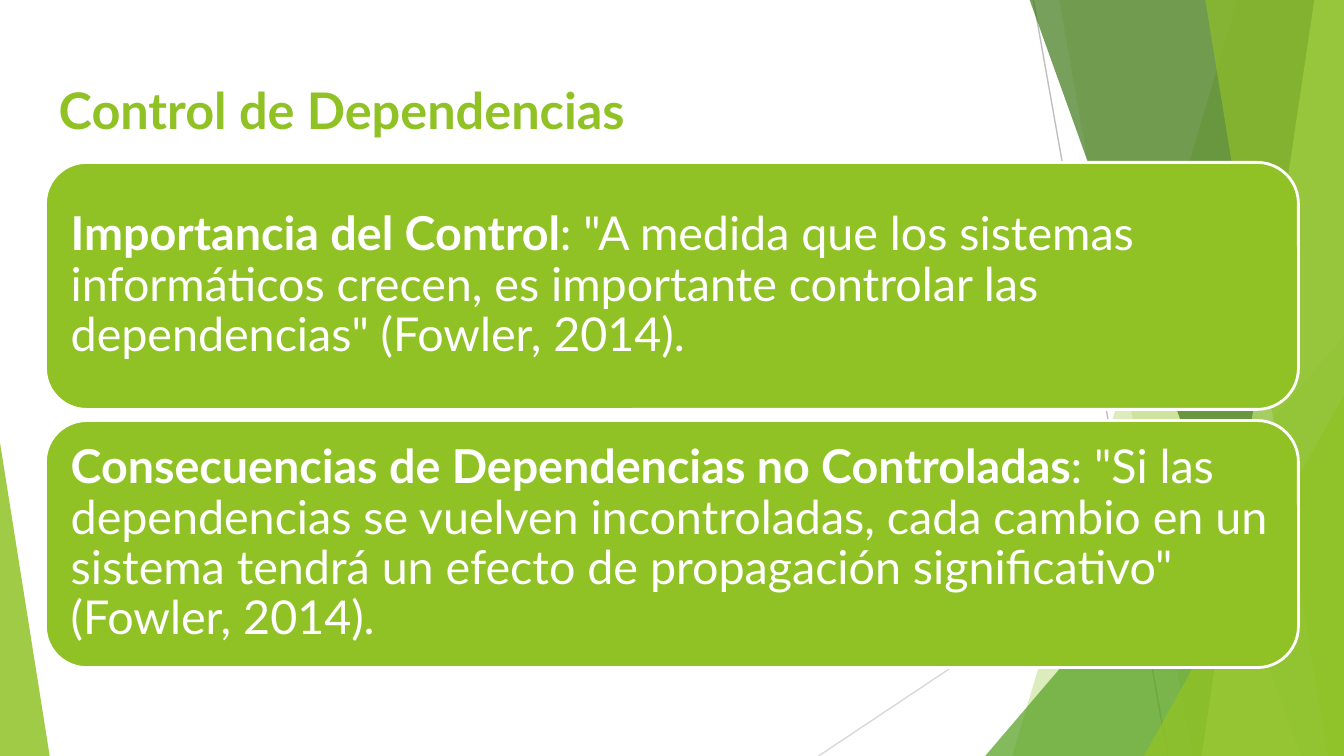
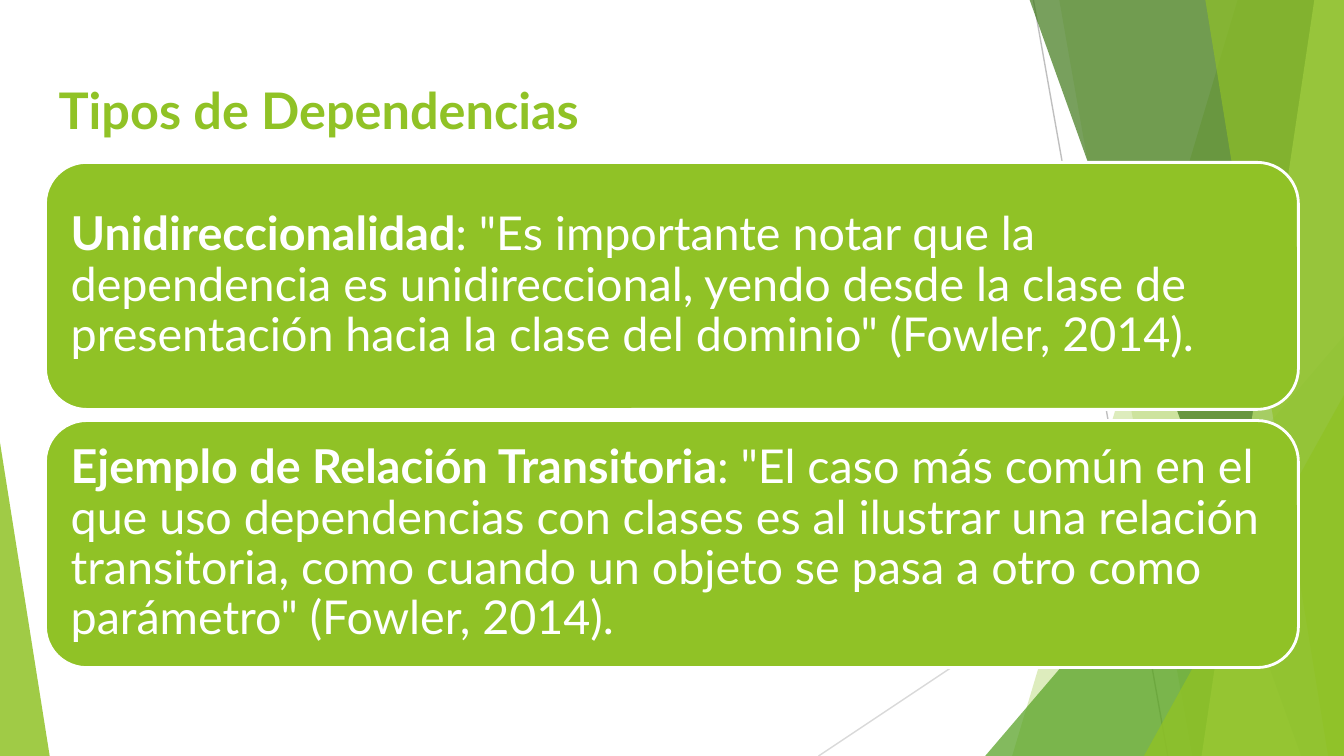
"""Build two slides on class dependencies over a shared green faceted backdrop."""
from dataclasses import dataclass

from lxml import etree
from pptx import Presentation
from pptx.dml.color import RGBColor
from pptx.enum.shapes import MSO_CONNECTOR, MSO_SHAPE
from pptx.enum.text import MSO_ANCHOR, PP_ALIGN
from pptx.oxml.ns import qn
from pptx.shapes.autoshape import Shape
from pptx.slide import Slide
from pptx.text.text import TextFrame
from pptx.util import Cm, Pt

STRAIGHT = MSO_CONNECTOR.STRAIGHT
TRIANGLE = MSO_SHAPE.ISOSCELES_TRIANGLE
ROUNDED = MSO_SHAPE.ROUNDED_RECTANGLE
TOP, MIDDLE = MSO_ANCHOR.TOP, MSO_ANCHOR.MIDDLE
LEFT = PP_ALIGN.LEFT

COLORS = {
    "white": "FFFFFF",
    "lime": "90C226",
    "pale_lime": "C0E474",
    "green": "54A021",
    "forest": "3F7819",
    "gray": "BFBFBF",
    "light_gray": "D9D9D9",
}
FONT = "Lato"
SLIDE_WIDTH, SLIDE_HEIGHT = 25.4, 14.29
MARGIN = 0.86
CONTENT_WIDTH = SLIDE_WIDTH - 2 * MARGIN
INSET = 0.25
TITLE_TOP, TITLE_HEIGHT = 1.24, 1.6
CARD_TOP, CARD_HEIGHT, CARD_PITCH = 3.07, 4.67, 4.88


@dataclass(frozen=True)
class Ray:
    start: tuple[float, float]
    end: tuple[float, float]
    color: str


@dataclass(frozen=True)
class Ribbon:
    top_x: float
    bottom_x: float
    color: str
    opacity: int


@dataclass(frozen=True)
class Wedge:
    left: float
    top: float
    width: float
    apex: float
    color: str
    opacity: int


@dataclass(frozen=True)
class Card:
    term: str
    quote: str


@dataclass(frozen=True)
class Topic:
    title: str
    cards: tuple[Card, ...]


RAYS = (
    Ray((19.53, 0), (22.07, SLIDE_HEIGHT), "gray"),
    Ray((SLIDE_WIDTH, 7.67), (15.47, SLIDE_HEIGHT), "light_gray"),
)
FACETS = (
    Ribbon(23.39, 19.13, "lime", 30),
    Ribbon(20.02, 22.53, "lime", 20),
    Wedge(18.62, 6.35, 6.78, 1, "green", 72),
    Ribbon(19.46, 24.59, "forest", 70),
    Ribbon(24.84, 22.71, "pale_lime", 70),
    Ribbon(22.78, 25.1, "lime", 65),
    Wedge(21.62, 7.47, 3.78, 1, "lime", 80),
    Wedge(0, 8.36, 0.94, 0, "lime", 85),
)
TOPICS = (
    Topic("Control de Dependencias", (
        Card("Importancia del Control",
             ': "A medida que los sistemas informáticos crecen, es importante '
             'controlar las dependencias" (Fowler, 2014).'),
        Card("Consecuencias de Dependencias no Controladas",
             ': "Si las dependencias se vuelven incontroladas, cada cambio en un '
             'sistema tendrá un efecto de propagación significativo" (Fowler, 2014).'),
    )),
    Topic("Tipos de Dependencias", (
        Card("Unidireccionalidad",
             ': "Es importante notar que la dependencia es unidireccional, yendo '
             'desde la clase de presentación hacia la clase del dominio" (Fowler, 2014).'),
        Card("Ejemplo de Relación Transitoria",
             ': "El caso más común en el que uso dependencias con clases es al '
             'ilustrar una relación transitoria, como cuando un objeto se pasa a '
             'otro como parámetro" (Fowler, 2014).'),
    )),
)


def rgb(name: str) -> RGBColor:
    return RGBColor.from_string(COLORS[name])


def paint(shape: Shape, color: str, opacity: int = 100) -> None:
    shape.shadow.inherit = False
    shape.fill.solid()
    shape.fill.fore_color.rgb = rgb(color)
    shape.line.fill.background()
    if opacity < 100:
        tint = shape.fill._xPr.find(qn("a:solidFill"))[0]
        etree.SubElement(tint, qn("a:alpha"), val=str(opacity * 1000))


def draw_ray(slide: Slide, ray: Ray) -> None:
    line = slide.shapes.add_connector(STRAIGHT, *map(Cm, ray.start + ray.end))
    line.line.color.rgb = rgb(ray.color)
    line.line.width = Pt(0.75)
    etree.SubElement(line._element.spPr, qn("a:effectLst"))


def draw_ribbon(slide: Slide, ribbon: Ribbon) -> None:
    outline = slide.shapes.build_freeform(Cm(ribbon.top_x), 0)
    corners = ((SLIDE_WIDTH, 0), (SLIDE_WIDTH, SLIDE_HEIGHT),
               (ribbon.bottom_x, SLIDE_HEIGHT))
    outline.add_line_segments([(Cm(x), Cm(y)) for x, y in corners])
    paint(outline.convert_to_shape(), ribbon.color, ribbon.opacity)


def draw_wedge(slide: Slide, wedge: Wedge) -> None:
    triangle = slide.shapes.add_shape(
        TRIANGLE, Cm(wedge.left), Cm(wedge.top),
        Cm(wedge.width), Cm(SLIDE_HEIGHT - wedge.top))
    triangle.adjustments[0] = wedge.apex
    paint(triangle, wedge.color, wedge.opacity)


def draw_backdrop(slide: Slide) -> None:
    for ray in RAYS:
        draw_ray(slide, ray)
    for facet in FACETS:
        if isinstance(facet, Ribbon):
            draw_ribbon(slide, facet)
        else:
            draw_wedge(slide, facet)


def write(frame: TextFrame, runs: tuple[tuple[str, bool], ...],
          size: int, color: str, anchor: MSO_ANCHOR) -> None:
    frame.word_wrap = True
    frame.vertical_anchor = anchor
    frame.margin_left = frame.margin_right = Cm(INSET)
    frame.margin_top = frame.margin_bottom = Cm(INSET)
    paragraph = frame.paragraphs[0]
    paragraph.alignment = LEFT
    paragraph.font.name = FONT
    paragraph.font.size = Pt(size)
    paragraph.font.color.rgb = rgb(color)
    for text, bold in runs:
        run = paragraph.add_run()
        run.text = text
        run.font.bold = bold


def draw_title(slide: Slide, title: str) -> None:
    heading = slide.shapes.add_textbox(
        Cm(MARGIN), Cm(TITLE_TOP), Cm(CONTENT_WIDTH), Cm(TITLE_HEIGHT))
    write(heading.text_frame, ((title, True),), 27, "lime", TOP)


def draw_card(slide: Slide, card: Card, top: float) -> None:
    panel = slide.shapes.add_shape(
        ROUNDED, Cm(MARGIN), Cm(top), Cm(CONTENT_WIDTH), Cm(CARD_HEIGHT))
    paint(panel, "lime")
    panel.line.color.rgb = rgb("white")
    panel.line.width = Pt(1.5)
    write(panel.text_frame, ((card.term, True), (card.quote, False)),
          25, "white", MIDDLE)
    panel.text_frame.paragraphs[0].line_spacing = 0.9


def main() -> None:
    deck = Presentation()
    deck.slide_width, deck.slide_height = Cm(SLIDE_WIDTH), Cm(SLIDE_HEIGHT)
    blank = deck.slide_layouts[6]
    for topic in TOPICS:
        slide = deck.slides.add_slide(blank)
        draw_backdrop(slide)
        draw_title(slide, topic.title)
        for index, card in enumerate(topic.cards):
            draw_card(slide, card, CARD_TOP + index * CARD_PITCH)
    deck.save("out.pptx")


if __name__ == "__main__":
    main()
